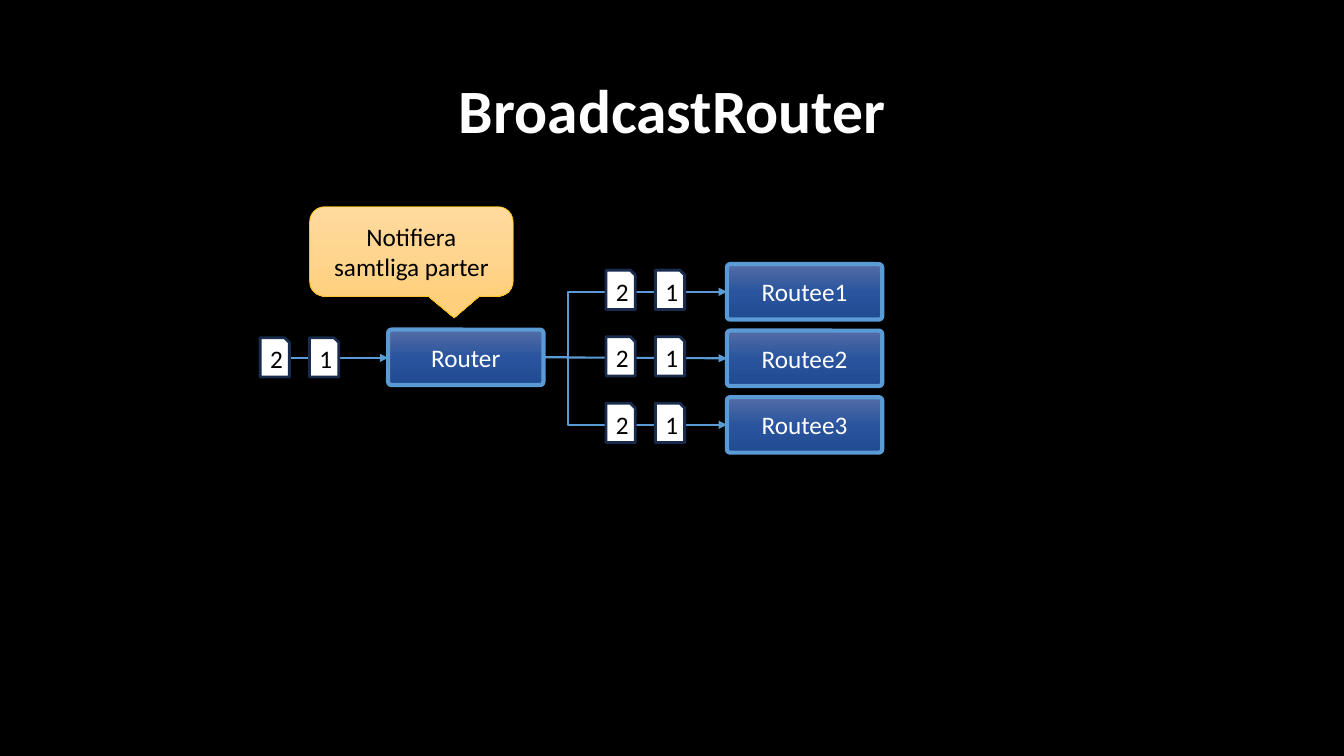
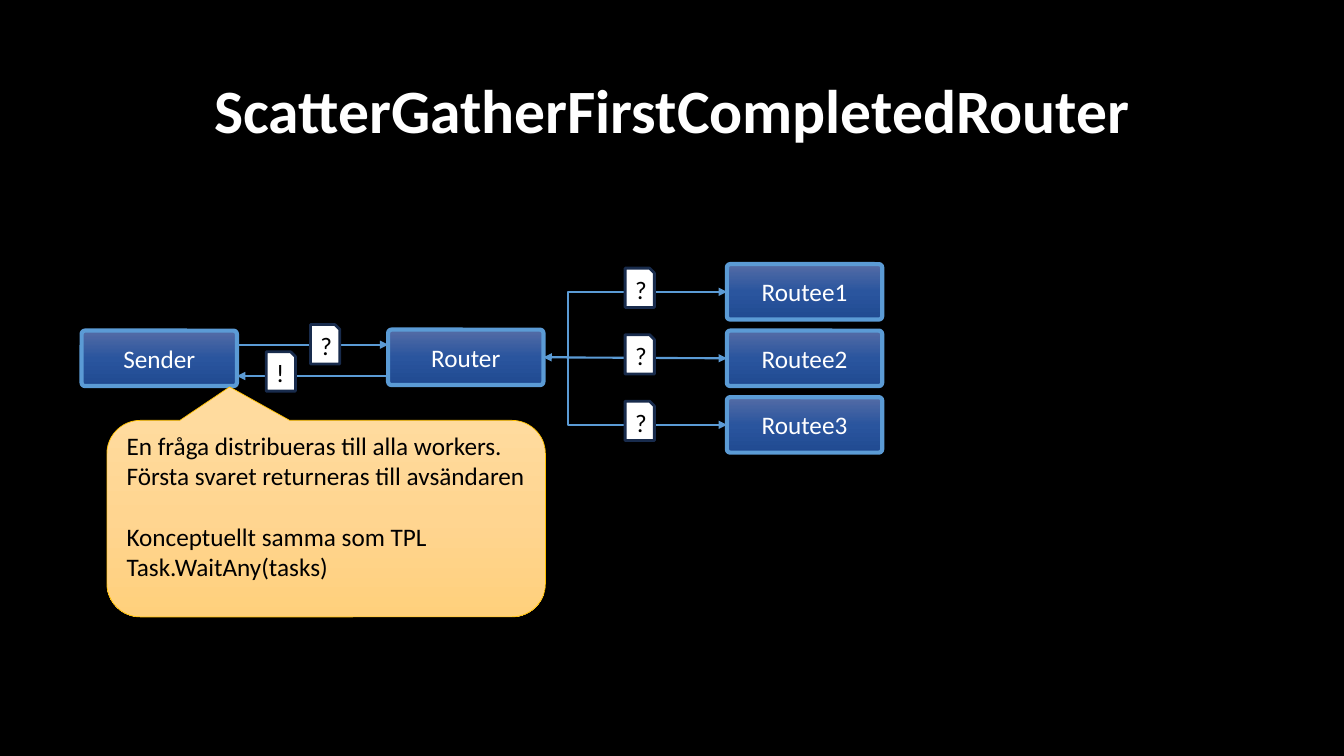
from dataclasses import dataclass

from lxml import etree
from pptx import Presentation
from pptx.dml.color import RGBColor
from pptx.enum.shapes import MSO_CONNECTOR, MSO_SHAPE
from pptx.enum.text import MSO_ANCHOR, PP_ALIGN
from pptx.oxml.ns import qn
from pptx.util import Inches, Pt

STRAIGHT, ELBOW = MSO_CONNECTOR.STRAIGHT, MSO_CONNECTOR.ELBOW
ACTOR, MESSAGE = MSO_SHAPE.ROUNDED_RECTANGLE, MSO_SHAPE.SNIP_1_RECTANGLE
CALLOUT = MSO_SHAPE.ROUNDED_RECTANGULAR_CALLOUT
LEFT, CENTER = PP_ALIGN.LEFT, PP_ALIGN.CENTER
TOP, MIDDLE = MSO_ANCHOR.TOP, MSO_ANCHOR.MIDDLE
RIGHT_SITE, LEFT_SITE = 3, 1


@dataclass(frozen=True)
class Look:
    fills: tuple
    line: str
    width: float
    text: str


@dataclass(frozen=True)
class Theme:
    font: str = "Calibri"
    title_size: int = 44
    body_size: int = 18
    background: str = "000000"
    title: str = "FFFFFF"
    arrow: str = "5B9BD5"
    arrow_width: float = 1.5
    actor: Look = Look(("546CA6", "2A559E", "204A91"), "5B9BD5", 3, "FFFFFF")
    message: Look = Look(("FFFFFF",), "182B4C", 2, "000000")
    callout: Look = Look(("FFDB9E", "FFD590", "FFD07C"), "FFC000", 0.5, "000000")


THEME = Theme()


def add_box(slide, kind, look, text, left, top, width, height, adjustments=()):
    box = slide.shapes.add_shape(
        kind, Inches(left), Inches(top), Inches(width), Inches(height))
    box.shadow.inherit = False
    for index, value in enumerate(adjustments):
        box.adjustments[index] = value
    if len(look.fills) == 1:
        box.fill.solid()
        box.fill.fore_color.rgb = RGBColor.from_string(look.fills[0])
    else:
        box.fill.gradient()
        box.fill.gradient_angle = 270
        stops = box._element.spPr.find(qn("a:gradFill")).find(qn("a:gsLst"))
        for stop in list(stops):
            stops.remove(stop)
        for index, color in enumerate(look.fills):
            stop = etree.SubElement(stops, qn("a:gs"), pos=str(index * 50000))
            etree.SubElement(stop, qn("a:srgbClr"), val=color)
    box.line.color.rgb = RGBColor.from_string(look.line)
    box.line.width = Pt(look.width)
    frame = box.text_frame
    frame.word_wrap = True
    frame.vertical_anchor = MIDDLE
    frame.text = text
    for paragraph in frame.paragraphs:
        paragraph.alignment = CENTER
        for run in paragraph.runs:
            run.font.name = THEME.font
            run.font.size = Pt(THEME.body_size)
            run.font.color.rgb = RGBColor.from_string(look.text)
    return box


def add_arrow(slide, kind, start, end, two_way=False):
    arrow = slide.shapes.add_connector(kind, *map(Inches, start + end))
    arrow.line.color.rgb = RGBColor.from_string(THEME.arrow)
    arrow.line.width = Pt(THEME.arrow_width)
    line = arrow.line._get_or_add_ln()
    if two_way:
        etree.SubElement(line, qn("a:headEnd"), type="triangle")
    etree.SubElement(line, qn("a:tailEnd"), type="triangle")
    etree.SubElement(arrow._element.spPr, qn("a:effectLst"))
    return arrow


ACTOR_SIZE = (1.54, 0.55)
MESSAGE_SIZE = (0.29, 0.39)
ROUTER_LEFT, ROUTER_TOP, ROUTER_MIDDLE = 3.85, 3.27, 3.55
ROUTER_RIGHT = ROUTER_LEFT + ACTOR_SIZE[0]
ROUTEE_LEFT, ROUTEE_TOP, ROUTEE_STEP = 7.21, 2.62, 0.66
SENDER_LEFT = 0.81
SENDER_RIGHT = SENDER_LEFT + ACTOR_SIZE[0]

prs = Presentation()
prs.slide_width, prs.slide_height = Inches(13.33), Inches(7.5)
master_fill = prs.slide_master.background.fill
master_fill.solid()
master_fill.fore_color.rgb = RGBColor.from_string(THEME.background)
title_layout = prs.slide_layouts[5]
layout_title = title_layout.placeholders[0]
layout_title.left, layout_title.top = Inches(0.92), Inches(0.4)
layout_title.width, layout_title.height = Inches(11.5), Inches(1.45)

routers = [
    ("BroadcastRouter", [("1", 6.5), ("2", 6.01)], 2.68, False),
    ("ScatterGatherFirstCompletedRouter", [("?", 6.2)], 2.66, True),
]
slides = []
for name, messages, messages_top, two_way in routers:
    slide = prs.slides.add_slide(title_layout)
    slides.append(slide)
    title = slide.shapes.title
    title.text_frame.text = name
    title.text_frame.vertical_anchor = MIDDLE
    heading = title.text_frame.paragraphs[0]
    heading.alignment = CENTER
    heading.line_spacing = 0.9
    heading_font = heading.runs[0].font
    heading_font.name = THEME.font
    heading_font.size = Pt(THEME.title_size)
    heading_font.bold = True
    heading_font.color.rgb = RGBColor.from_string(THEME.title)

    actors = [("Router", ROUTER_LEFT, ROUTER_TOP)]
    actors += [(f"Routee{row + 1}", ROUTEE_LEFT, ROUTEE_TOP + row * ROUTEE_STEP)
               for row in range(3)]
    if two_way:
        actors.append(("Sender", SENDER_LEFT, 3.28))
    actor_boxes = []
    for label, left, top in actors:
        actor = add_box(slide, ACTOR, THEME.actor, label, left, top, *ACTOR_SIZE, (0.06,))
        etree.SubElement(
            etree.SubElement(
                actor._element.spPr.find(qn("a:effectLst")), qn("a:outerShdw"),
                blurRad=str(Pt(4.5)), dist=str(Pt(1.5)), dir="5400000",
                algn="ctr", rotWithShape="0"),
            qn("a:srgbClr"), val="000000",
        ).append(etree.Element(qn("a:alpha"), val="63000"))
        actor_boxes.append(actor)

    router = actor_boxes[0]
    for row, routee in enumerate(actor_boxes[1:4]):
        straight = row == 1
        routee_middle = ROUTEE_TOP + row * ROUTEE_STEP + ACTOR_SIZE[1] / 2
        route = add_arrow(
            slide, STRAIGHT if straight else ELBOW, (ROUTER_RIGHT, ROUTER_MIDDLE),
            (ROUTEE_LEFT, routee_middle), two_way and straight)
        route.begin_connect(router, RIGHT_SITE)
        route.end_connect(routee, LEFT_SITE)
        if not straight:
            geometry = route._element.spPr.find(qn("a:prstGeom"))
            bend = geometry.find(qn("a:avLst"))
            if bend is None:
                bend = etree.SubElement(geometry, qn("a:avLst"))
            etree.SubElement(bend, qn("a:gd"), name="adj1", fmla="val 13500")
        for label, left in messages:
            add_box(slide, MESSAGE, THEME.message, label, left,
                    messages_top + row * ROUTEE_STEP, *MESSAGE_SIZE)

broadcast, scatter = slides

add_arrow(broadcast, STRAIGHT, (2.75, ROUTER_MIDDLE), (ROUTER_LEFT, ROUTER_MIDDLE))
for label, left in [("1", 3.07), ("2", 2.58)]:
    add_box(broadcast, MESSAGE, THEME.message, label, left, 3.35, *MESSAGE_SIZE)
add_box(broadcast, CALLOUT, THEME.callout, "Notifiera samtliga parter",
        3.07, 2.05, 2.02, 0.89, (0.21, 0.74, 0.17))

add_arrow(scatter, STRAIGHT, (SENDER_RIGHT, 3.42), (ROUTER_LEFT, 3.42))
add_arrow(scatter, STRAIGHT, (ROUTER_LEFT, 3.73), (SENDER_RIGHT, 3.73))
for label, left, top in [("?", 3.08, 3.22), ("!", 2.64, 3.49)]:
    add_box(scatter, MESSAGE, THEME.message, label, left, top, *MESSAGE_SIZE)
explanation = add_box(
    scatter, CALLOUT, THEME.callout,
    "En fråga distribueras till alla workers.\n"
    "Första svaret returneras till avsändaren\n"
    "Konceptuellt samma som TPL Task.WaitAny(tasks)",
    1.06, 4.17, 4.35, 1.95, (-0.22, -0.67, 0.17)).text_frame
explanation.vertical_anchor = TOP
explanation.margin_top = 0
for paragraph in explanation.paragraphs:
    paragraph.alignment = LEFT
explanation.paragraphs[2].space_before = Pt(22)

prs.save("out.pptx")
